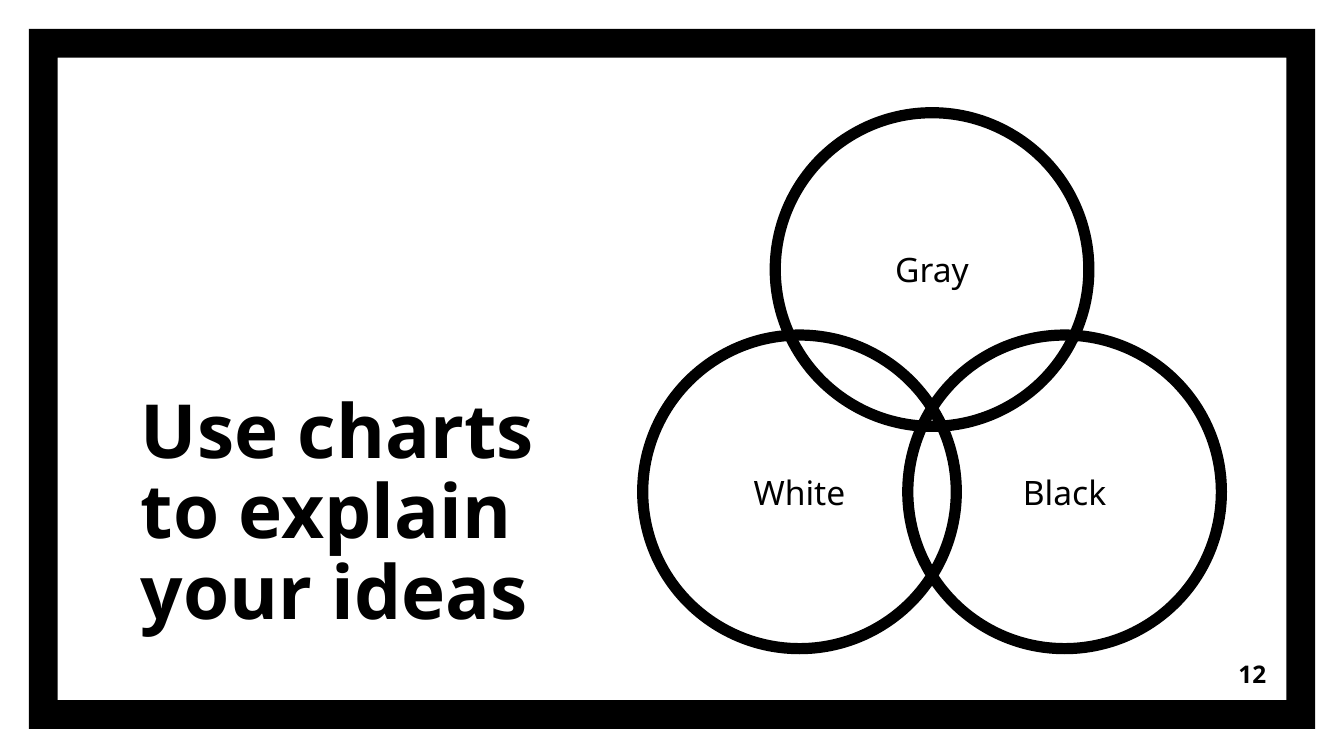
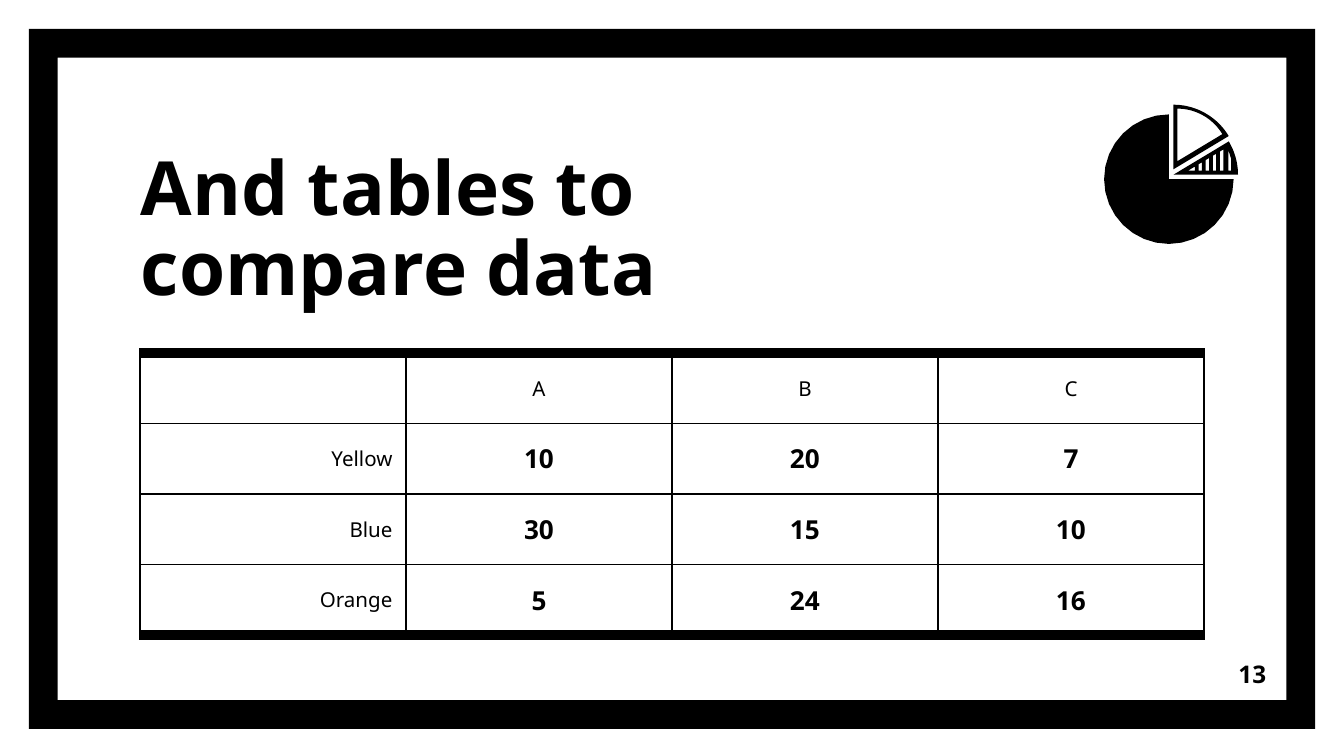
from math import cos, radians, sin

from lxml import etree
from pptx import Presentation
from pptx.dml.color import RGBColor
from pptx.enum.shapes import MSO_SHAPE
from pptx.enum.text import MSO_ANCHOR, PP_ALIGN
from pptx.oxml.ns import qn
from pptx.util import Pt

LEFT, CENTER, RIGHT = PP_ALIGN.LEFT, PP_ALIGN.CENTER, PP_ALIGN.RIGHT
MIDDLE, BOTTOM = MSO_ANCHOR.MIDDLE, MSO_ANCHOR.BOTTOM
FRAME, ELLIPSE = MSO_SHAPE.FRAME, MSO_SHAPE.OVAL

COLORS = {"ink": "000000", "paper": "FFFFFF"}
FONT = "Noto Sans"
INSET = 7.2
THIN, THICK = 0.75, 6


def color(name):
    return RGBColor.from_string(COLORS[name])


def arc(center_x, center_y, radius, start, end, steps=24):
    """Points along an arc; angles in degrees, clockwise from the right."""
    angles = [radians(start + (end - start) * i / steps) for i in range(steps + 1)]
    return [(center_x + radius * cos(a), center_y + radius * sin(a)) for a in angles]


def sector(center_x, center_y, radius, start, end):
    return [(center_x, center_y)] + arc(center_x, center_y, radius, start, end)


class Deck:
    def __init__(self):
        self.presentation = Presentation()
        self.presentation.slide_width = Pt(720)
        self.presentation.slide_height = Pt(405)
        self.slide = None

    def new_slide(self, number):
        layout = self.presentation.slide_layouts[6]
        self.slide = self.presentation.slides.add_slide(layout)
        background = self.slide.background.fill
        background.solid()
        background.fore_color.rgb = color("paper")
        frame = self.shape(FRAME, 15.5, 15.5, 689, 375, fill="ink")
        frame.adjustments[0] = 0.041
        self.text_box(str(number), 642.2, 345.6, 43.2, 31, 13, MIDDLE, RIGHT)

    def add_text(self, text_frame, text, size, bold=False, align=LEFT, spacing=1.0):
        paragraph = text_frame.paragraphs[0]
        paragraph.alignment = align
        paragraph.line_spacing = spacing
        run = paragraph.add_run()
        run.text = text
        run.font.name = FONT
        run.font.size = Pt(size)
        run.font.bold = bold
        run.font.color.rgb = color("ink")

    def prepare(self, text_frame, anchor):
        text_frame.word_wrap = True
        text_frame.vertical_anchor = anchor
        text_frame.margin_left = text_frame.margin_right = Pt(INSET)
        text_frame.margin_top = text_frame.margin_bottom = Pt(INSET)

    def text_box(self, text, left, top, width, height, size, anchor, align, spacing=1.0):
        box = self.slide.shapes.add_textbox(Pt(left), Pt(top), Pt(width), Pt(height))
        self.prepare(box.text_frame, anchor)
        self.add_text(box.text_frame, text, size, True, align, spacing)

    def title(self, text, top, width):
        self.text_box(text, 68.4, top, width, 107.3, 40, BOTTOM, LEFT, 0.9)

    def shape(self, kind, left, top, width, height, fill=None, line=None):
        shape = self.slide.shapes.add_shape(kind, Pt(left), Pt(top), Pt(width), Pt(height))
        self.paint(shape, fill, line)
        return shape

    def paint(self, shape, fill=None, line=None):
        shape.shadow.inherit = False
        if fill:
            shape.fill.solid()
            shape.fill.fore_color.rgb = color(fill)
        else:
            shape.fill.background()
        if line:
            shape.line.color.rgb = color("ink")
            shape.line.width = Pt(line)
        else:
            shape.line.fill.background()

    def circle(self, text, center_x, center_y, diameter):
        left, top = center_x - diameter / 2, center_y - diameter / 2
        shape = self.shape(ELLIPSE, left, top, diameter, diameter, line=THICK)
        self.prepare(shape.text_frame, MIDDLE)
        self.add_text(shape.text_frame, text, 18, align=CENTER)

    def outline(self, *contours):
        """One filled freeform; contours after the first are holes."""
        contours = [[(Pt(x), Pt(y)) for x, y in contour] for contour in contours]
        builder = self.slide.shapes.build_freeform(*contours[0][0], scale=1.0)
        builder.add_line_segments(contours[0][1:], close=True)
        for contour in contours[1:]:
            builder.move_to(*contour[0])
            builder.add_line_segments(contour[1:], close=True)
        self.paint(builder.convert_to_shape(), fill="ink")

    def borders(self, cell, top, bottom):
        properties = cell._tc.get_or_add_tcPr()
        widths = {"a:lnL": THIN, "a:lnR": THIN, "a:lnT": top, "a:lnB": bottom}
        for index, (tag, width) in enumerate(widths.items()):
            line = etree.Element(qn(tag), w=str(int(Pt(width))))
            fill = etree.SubElement(line, qn("a:solidFill"))
            etree.SubElement(fill, qn("a:srgbClr"), val=COLORS["ink"])
            properties.insert(index, line)

    def table(self, rows, left, top, column_width, row_height):
        row_count, column_count = len(rows), len(rows[0])
        table = self.slide.shapes.add_table(
            row_count, column_count, Pt(left), Pt(top),
            Pt(column_width * column_count), Pt(row_height * row_count)).table
        table.first_row = table.horz_banding = False
        for column in table.columns:
            column.width = Pt(column_width)
        for r, values in enumerate(rows):
            table.rows[r].height = Pt(row_height)
            for c, value in enumerate(values):
                cell = table.cell(r, c)
                cell.fill.background()
                cell.vertical_anchor = MIDDLE
                cell.margin_left = cell.margin_right = Pt(INSET)
                cell.margin_top = cell.margin_bottom = Pt(5)
                is_number = r > 0 and c > 0
                if value:
                    self.add_text(cell.text_frame, value, 14 if is_number else 11,
                                  is_number, CENTER if c else RIGHT)
                self.borders(cell, THICK if r == 0 else THIN,
                             THICK if r == row_count - 1 else THIN)

    def pie_icon(self):
        # Main slice
        self.outline(sector(626.2, 96, 34.7, 0, 270))
        # Striped slice: gaps end on a slanted line that starts at the tip
        tip, base, slope, step = 636.5, 91.4, 0.6, 3.8
        gaps = []
        for i in range(5):
            right = 640.1 + step * i
            left = right - 1.8 if i else tip
            gaps.append([(left, base), (left, base - slope * (left - tip)),
                         (right, base - slope * (right - tip)), (right, base)])
        gaps.append([(658.1, base), (658.1, 80.6), (658.8, 82.8), (659.5, 85), (659.5, base)])
        self.outline(sector(628.6, 93.6, 34.6, -31, 0), *gaps)
        # Hollow slice
        self.outline(sector(628.6, 90.7, 34.6, -90, -31),
                     sector(630.7, 86.4, 28.2, -90, -31))


def main():
    deck = Deck()

    # Overlapping circles
    deck.new_slide(12)
    deck.title("Use charts to explain your ideas", 240.5, 253.4)
    middle, offset = 499.3, 71
    deck.circle("Gray", middle, 144.4, 168)
    deck.circle("White", middle - offset, 263.5, 168)
    deck.circle("Black", middle + offset, 263.5, 168)

    # Data table
    deck.new_slide(13)
    deck.title("And tables to compare data", 67, 401)
    deck.table([
        ["", "A", "B", "C"],
        ["Yellow", "10", "20", "7"],
        ["Blue", "30", "15", "10"],
        ["Orange", "5", "24", "16"],
    ], 75, 189.1, 142.5, 37.8)
    deck.pie_icon()

    deck.presentation.save("out.pptx")


if __name__ == "__main__":
    main()
